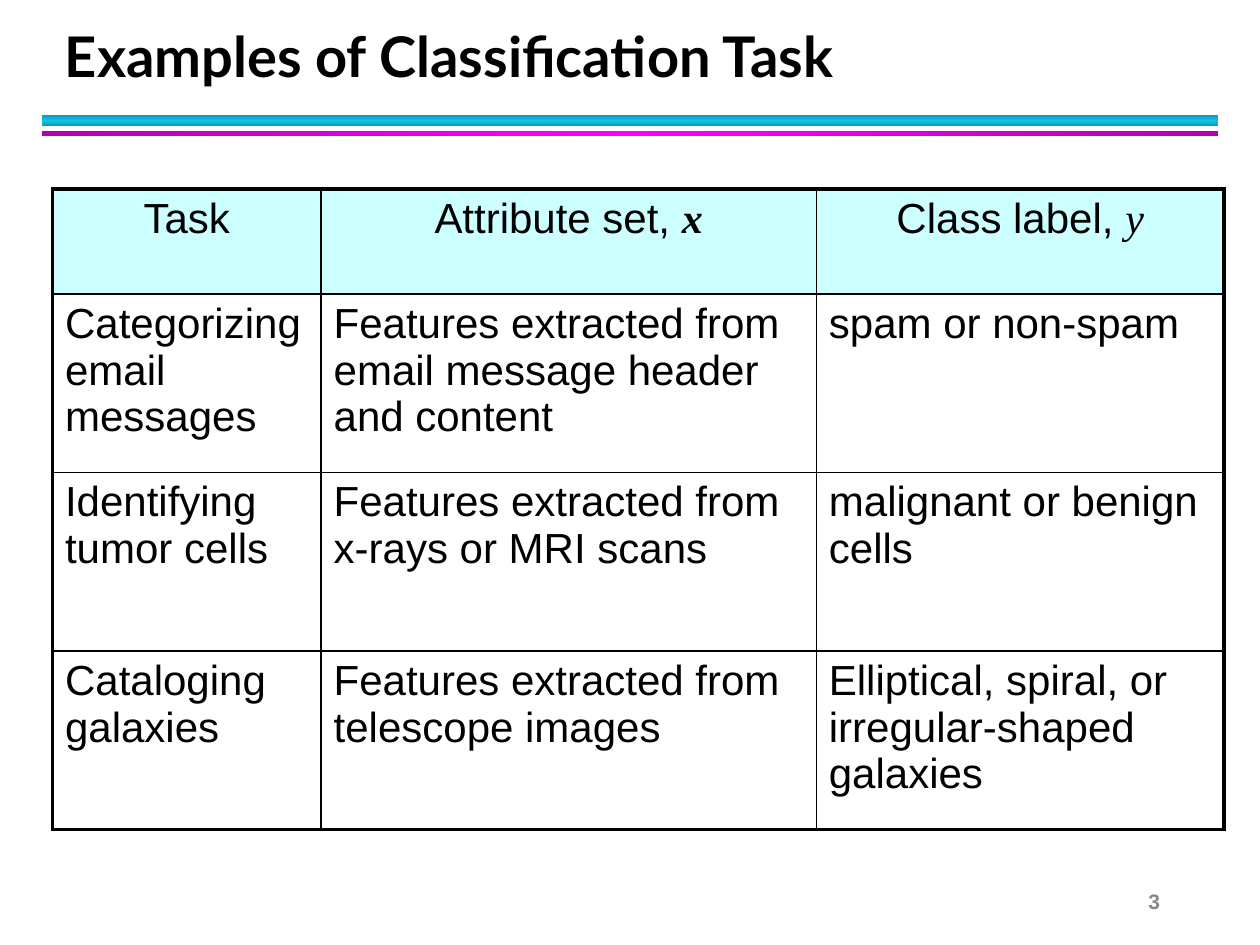
import copy

import pptx
import pptx.dml.color
import pptx.enum.shapes
import pptx.enum.text
import pptx.oxml
import pptx.oxml.ns
import pptx.util

Pt = pptx.util.Pt
ALIGN = pptx.enum.text.PP_ALIGN
ANCHOR = pptx.enum.text.MSO_ANCHOR


def rgb(value):
    return pptx.dml.color.RGBColor.from_string(value)


class SlideBuilder:
    body_font = "Arial"
    title_font = "Lato"
    symbol_font = "Times New Roman"
    ink = "000000"
    header_fill = "CCFFFF"
    thin, thick = 1, 2.25

    def __init__(self, slide):
        self.s = slide

    def style(self, r, size, font=None, color=None, bold=False, italic=False):
        r.font.size = Pt(size)
        r.font.name = font or self.body_font
        r.font.color.rgb = rgb(color or self.ink)
        r.font.bold = bold
        r.font.italic = italic

    def text(self, text, x, y, w, h, size, anchor, align=ALIGN.LEFT,
             spacing=None, **font):
        tf = self.s.shapes.add_textbox(Pt(x), Pt(y), Pt(w), Pt(h)).text_frame
        tf.word_wrap = True
        tf.vertical_anchor = anchor
        tf.text = text
        p = tf.paragraphs[0]
        p.alignment = align
        p.line_spacing = spacing
        self.style(p.runs[0], size, **font)

    def gradient_bar(self, x, y, w, h, edge, middle, angle):
        sp = self.s.shapes.add_shape(
            pptx.enum.shapes.MSO_SHAPE.RECTANGLE, Pt(x), Pt(y), Pt(w), Pt(h))
        sp.shadow.inherit = False
        sp.line.fill.background()
        sp.fill.gradient()
        sp.fill.gradient_angle = angle
        # A new gradient has two stops; the bar needs a third
        stops = sp._element.spPr.find(".//" + pptx.oxml.ns.qn("a:gsLst"))
        stops.append(copy.deepcopy(stops[-1]))
        for stop, position, color in zip(sp.fill.gradient_stops, (0, 0.5, 1),
                                         (edge, middle, edge)):
            stop.position = position
            stop.color.rgb = rgb(color)

    def borders(self, cell, widths):
        tcPr = cell._tc.get_or_add_tcPr()
        for i, (side, width) in enumerate(zip("LRTB", widths)):
            tcPr.insert(i, pptx.oxml.parse_xml(
                f'<a:ln{side} {pptx.oxml.ns.nsdecls("a")} w="{Pt(width)}">'
                f'<a:solidFill><a:srgbClr val="{self.ink}"/></a:solidFill>'
                f'</a:ln{side}>'))

    def table(self, x, y, widths, heights, rows, size):
        last_row, last_col = len(rows) - 1, len(widths) - 1
        table = self.s.shapes.add_table(
            len(rows), len(widths), Pt(x), Pt(y),
            Pt(sum(widths)), Pt(sum(heights))).table
        for col, width in zip(table.columns, widths):
            col.width = Pt(width)
        for i, row in enumerate(rows):
            table.rows[i].height = Pt(heights[i])
            for j, text in enumerate(row):
                cell = table.cell(i, j)
                cell.text_frame.text = text
                p = cell.text_frame.paragraphs[0]
                self.style(p.runs[0], size)
                if i == 0:
                    p.alignment = ALIGN.CENTER
                    cell.fill.solid()
                    cell.fill.fore_color.rgb = rgb(self.header_fill)
                else:
                    cell.fill.background()
                outer = (j == 0, j == last_col, i == 0, i == last_row)
                self.borders(cell, [self.thick if o else self.thin
                                    for o in outer])
        return table

    def symbol(self, cell, text, size, bold=False):
        r = cell.text_frame.paragraphs[0].add_run()
        r.text = text
        self.style(r, size, self.symbol_font, bold=bold, italic=True)


def main():
    prs = pptx.Presentation()
    prs.slide_width, prs.slide_height = Pt(720), Pt(540)
    b = SlideBuilder(prs.slides.add_slide(prs.slide_layouts[6]))

    # Double rule under the title
    b.gradient_bar(24, 66, 672, 6, "0E9BBA", "12C2E9", 90)
    b.gradient_bar(24, 75, 672, 3, "B200B2", "FF00FF", 0)

    # Title
    b.text("Examples of Classification Task", 30, 12, 652, 42, 32,
           ANCHOR.BOTTOM, spacing=1.12, font=b.title_font, bold=True)

    # Table of tasks
    rows = [
        ("Task", "Attribute set, ", "Class label, "),
        ("Categorizing email messages",
         "Features extracted from email message header and content",
         "spam or non-spam"),
        ("Identifying tumor cells",
         "Features extracted from x-rays or MRI scans",
         "malignant or benign cells"),
        ("Cataloging galaxies",
         "Features extracted from telescope images",
         "Elliptical, spiral, or irregular-shaped galaxies"),
    ]
    table = b.table(30, 108, (153.5, 283, 233), (60, 102, 102, 102), rows, 24)
    b.symbol(table.cell(0, 1), "x", 24, bold=True)
    b.symbol(table.cell(0, 2), "y", 24)

    # Slide number
    b.text("3", 508, 500.5, 162, 29, 12, ANCHOR.MIDDLE, ALIGN.RIGHT,
           color="888888", bold=True)

    prs.save("out.pptx")


if __name__ == "__main__":
    main()
